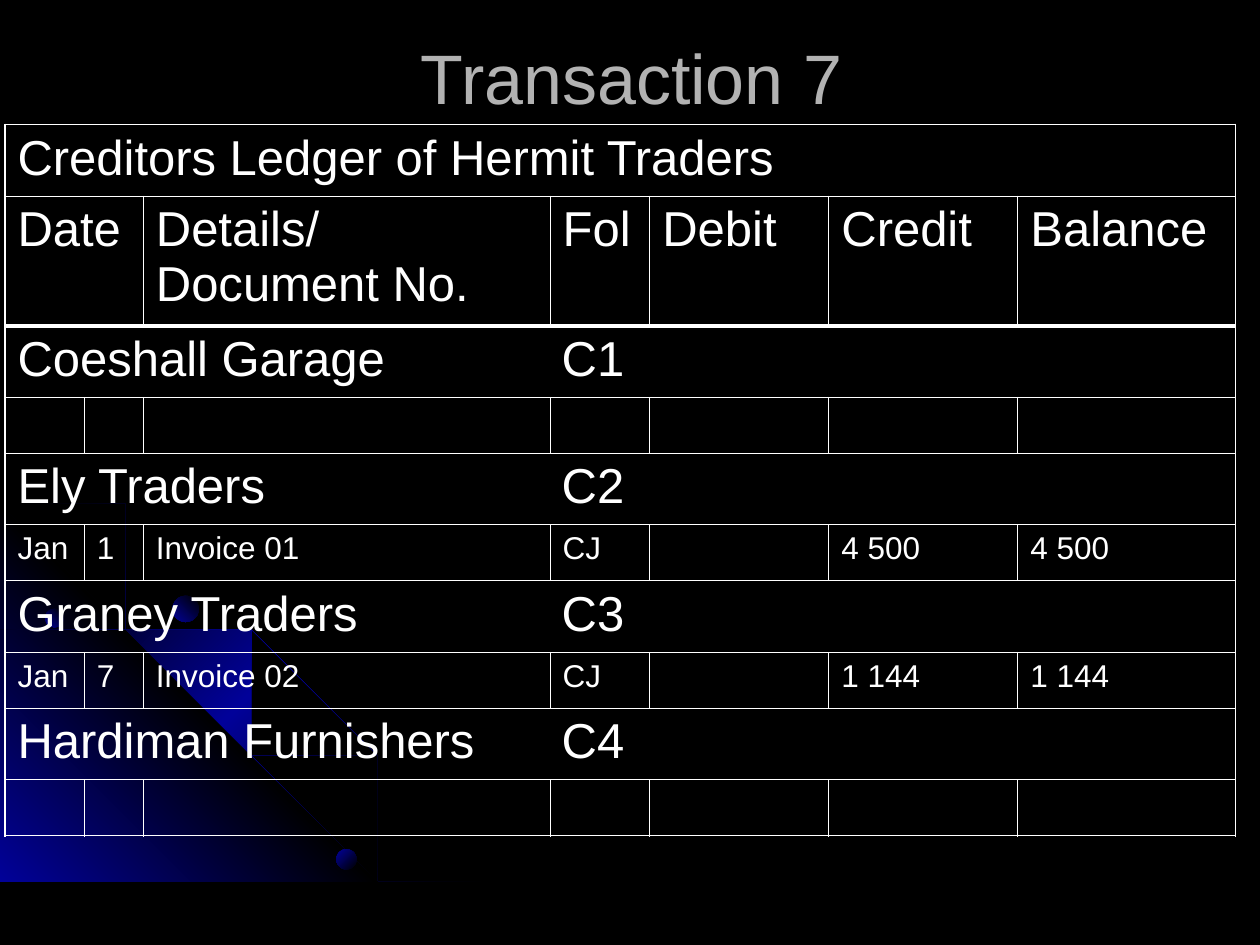
import pptx
import pptx.dml.color
import pptx.enum.shapes
import pptx.enum.text
import pptx.oxml
import pptx.oxml.ns
import pptx.util
from lxml import etree

Cm = pptx.util.Cm
Pt = pptx.util.Pt
FONT = "Arial"
WHITE, BLACK, GREY, BLUE = "FFFFFF", "000000", "B2B2B2", "010199"
THIN, FRAME, HEADER_RULE = 0.45, 1.08, 2.21
GRID_UNIT = Cm(2.54)
FOLIO_TAB = Cm(10.97)

COLUMN_WIDTHS = [1.6, 1.19, 8.2, 2.01, 3.61, 3.81, 4.39]
ACCOUNT_HEIGHT, HEADER_HEIGHT, ENTRY_HEIGHT = 1.44, 2.62, 1.13
HEADINGS = ["Date", None, "Details/ Document No.", "Fol", "Debit", "Credit", "Balance"]
NO_ENTRY = [""] * 7
ACCOUNTS = [
    ("Coeshall Garage\tC1", NO_ENTRY),
    ("Ely Traders\tC2", ["Jan", "1", "Invoice 01", "CJ", "", "4 500", "4 500"]),
    ("Graney Traders\tC3", ["Jan", "7", "Invoice 02", "CJ", "", "1 144", "1 144"]),
    ("Hardiman Furnishers\tC4", NO_ENTRY),
]

OUTER_ARC = [
    (0.57, 4.47), (0.28, 4.41), (0, 4.35), (0, 4.38), (0.28, 4.43), (0.56, 4.49),
    (0.97, 4.61), (1.35, 4.78), (1.73, 4.99), (2.08, 5.23), (2.41, 5.49), (2.71, 5.79),
    (2.98, 6.12), (3.23, 6.49), (3.37, 6.73), (3.5, 6.98), (3.6, 7.23), (3.7, 7.49),
    (3.72, 7.49), (3.62, 7.23), (3.52, 6.98), (3.39, 6.73), (3.25, 6.48), (3, 6.11),
    (2.72, 5.78), (2.42, 5.48), (2.09, 5.21), (1.74, 4.97), (1.36, 4.77), (0.98, 4.59),
]
CORNER_GLOW = [(3.22, 7.49), (0, 7.49), (0, 4.27)]
INNER_ARC = [
    (2.85, 7.14), (2.94, 7.32), (3.01, 7.49), (3.03, 7.49), (2.96, 7.3), (2.86, 7.12),
    (2.66, 6.76), (2.42, 6.4), (2.15, 6.06), (1.84, 5.76), (1.52, 5.49), (1.17, 5.26),
    (0.79, 5.05), (0.41, 4.88), (0, 4.75), (0, 4.77), (0.39, 4.9), (0.77, 5.07),
    (1.15, 5.28), (1.5, 5.51), (1.83, 5.78), (2.13, 6.08), (2.4, 6.42), (2.65, 6.77),
]
MIDDLE_ARC = [
    (0, 4.42), (0, 4.44), (0.36, 4.57), (0.74, 4.75), (1.09, 4.94), (1.42, 5.18),
    (1.73, 5.44), (2.02, 5.75), (2.27, 6.05), (2.52, 6.41), (2.67, 6.67), (2.8, 6.94),
    (2.92, 7.22), (3.01, 7.49), (3.03, 7.49), (2.94, 7.2), (2.82, 6.93), (2.69, 6.65),
    (2.54, 6.39), (2.29, 6.03), (2.04, 5.73), (1.75, 5.43), (1.44, 5.16), (1.11, 4.93),
    (0.76, 4.73), (0.39, 4.55),
]
ARC_COLORS = [BLACK, BLUE, BLACK]
GLOW_COLORS = [BLUE, BLACK, BLUE]
PLANETS = [(0.91, 12.27, 0.38, 135), (6.78, 17.12, 0.41, 225), (3.48, 12.01, 0.53, 135)]


def rgb(color):
    return pptx.dml.color.RGBColor.from_string(color)


def add_element(parent, tag, **attributes):
    element = etree.SubElement(parent, pptx.oxml.ns.qn(tag))
    for key, value in attributes.items():
        element.set(key, str(value))
    return element


def write(frame, text, size=28, color=WHITE, align=None, tab=None):
    paragraph = frame.paragraphs[0]
    if tab:
        stops = add_element(paragraph._p.get_or_add_pPr(), "a:tabLst")
        add_element(stops, "a:tab", pos=int(tab), algn="l")
    paragraph.alignment = align
    run = paragraph.add_run()
    run.text = text
    run.font.name = FONT
    run.font.size = Pt(size)
    run.font.color.rgb = rgb(color)


def shade(shape, colors, angle):
    shape.shadow.inherit = False
    shape.line.fill.background()
    shape.fill.gradient()
    gradient = shape._element.spPr.find(pptx.oxml.ns.qn("a:gradFill"))
    for child in list(gradient):
        gradient.remove(child)
    stops = add_element(gradient, "a:gsLst")
    for index, color in enumerate(colors):
        stop = add_element(stops, "a:gs", pos=index * 100000 // (len(colors) - 1))
        add_element(stop, "a:srgbClr", val=color)
    add_element(gradient, "a:lin", ang=angle * 60000, scaled=0)


def add_outline(slide, points, colors, angle):
    builder = slide.shapes.build_freeform(*points[0], scale=GRID_UNIT)
    builder.add_line_segments(points[1:], close=True)
    shade(builder.convert_to_shape(), colors, angle)


def add_planet(slide, left, top, diameter, angle):
    planet = slide.shapes.add_shape(
        pptx.enum.shapes.MSO_SHAPE.OVAL, Cm(left), Cm(top), Cm(diameter), Cm(diameter))
    shade(planet, [BLACK, BLUE], angle)


def add_backdrop(slide):
    slide.background.fill.solid()
    slide.background.fill.fore_color.rgb = rgb(BLACK)
    add_outline(slide, OUTER_ARC, ARC_COLORS, 225)
    add_outline(slide, CORNER_GLOW, GLOW_COLORS, 135)
    for arc in (INNER_ARC, MIDDLE_ARC):
        add_outline(slide, arc, ARC_COLORS, 225)
    for planet in PLANETS:
        add_planet(slide, *planet)


def place_title(slide, text):
    title = slide.shapes.title
    title.left, title.top, title.width, title.height = Cm(1.3), Cm(0.53), Cm(22.86), Cm(2.01)
    title.text_frame.vertical_anchor = pptx.enum.text.MSO_ANCHOR.MIDDLE
    write(title.text_frame, text, size=40, color=GREY, align=pptx.enum.text.PP_ALIGN.CENTER)
    slide.shapes._spTree.append(title._element)


def set_borders(cell, **widths):
    properties = cell._tc.get_or_add_tcPr()
    for side in "LRTB":
        line = add_element(properties, f"a:ln{side}", w=int(Pt(widths[side])))
        add_element(add_element(line, "a:solidFill"), "a:srgbClr", val=WHITE)


def rule_ledger(ledger, row_count):
    def level(row_line):
        if row_line == 2:
            return HEADER_RULE
        return FRAME if row_line in (0, row_count) else THIN

    last_column = len(COLUMN_WIDTHS)
    for row in range(row_count):
        for column in range(last_column):
            cell = ledger.cell(row, column)
            if not cell.is_spanned:
                start, end = column, column + cell.span_width
            set_borders(cell, L=THIN if start else FRAME,
                        R=FRAME if end == last_column else THIN,
                        T=level(row), B=level(row + 1))
            cell.fill.background()


def add_ledger(slide):
    whole_row = [None] * 6
    rows = [(ACCOUNT_HEIGHT, 28, ["Creditors Ledger of Hermit Traders"] + whole_row),
            (HEADER_HEIGHT, 28, HEADINGS)]
    for account, entry in ACCOUNTS:
        rows.append((ACCOUNT_HEIGHT, 28, [account] + whole_row))
        rows.append((ENTRY_HEIGHT, 18, entry))
    ledger = slide.shapes.add_table(
        len(rows), len(COLUMN_WIDTHS), Cm(0.1), Cm(2.51),
        Cm(sum(COLUMN_WIDTHS)), Cm(sum(row[0] for row in rows))).table
    ledger.first_row = ledger.horz_banding = False
    for column, width in zip(ledger.columns, COLUMN_WIDTHS):
        column.width = Cm(width)
    for row, (height, size, texts) in enumerate(rows):
        ledger.rows[row].height = Cm(height)
        joined = texts.count(None)
        if joined:
            ledger.cell(row, 0).merge(ledger.cell(row, joined))
        for column, text in enumerate(texts):
            if text:
                write(ledger.cell(row, column).text_frame, text, size=size,
                      tab=FOLIO_TAB if "\t" in text else None)
    rule_ledger(ledger, len(rows))


def main():
    presentation = pptx.Presentation()
    presentation.slide_width, presentation.slide_height = Cm(25.4), Cm(19.05)
    slide = presentation.slides.add_slide(presentation.slide_layouts[5])
    add_backdrop(slide)
    place_title(slide, "Transaction 7")
    add_ledger(slide)
    presentation.save("out.pptx")


if __name__ == "__main__":
    main()
